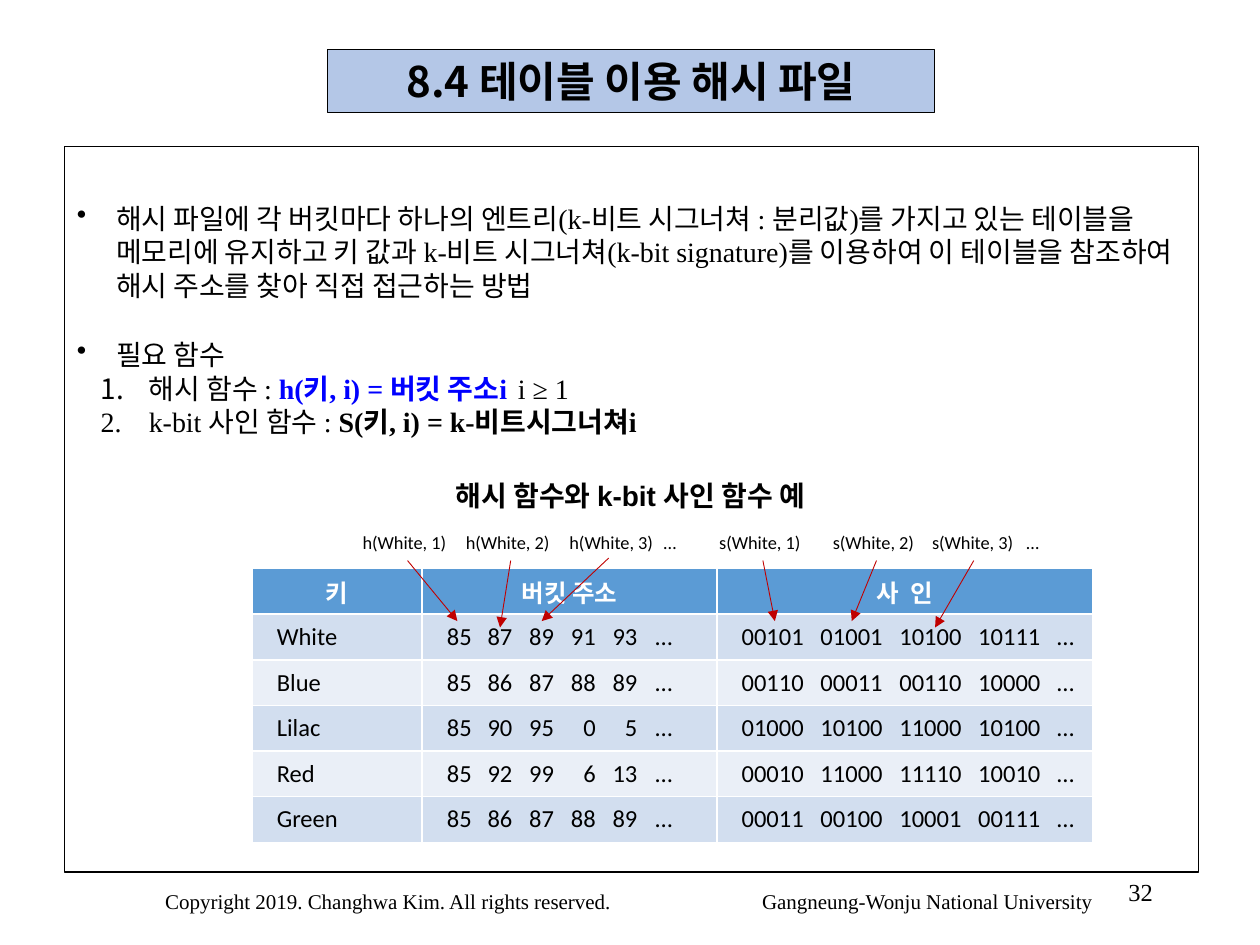
"""Build the slide on hash files that use a signature table."""
from lxml import etree
from pptx import Presentation
from pptx.dml.color import RGBColor
from pptx.enum.shapes import MSO_CONNECTOR, MSO_SHAPE
from pptx.enum.text import MSO_ANCHOR, PP_ALIGN
from pptx.oxml.ns import qn
from pptx.util import Cm, Pt

BLACK = RGBColor(0x00, 0x00, 0x00)
WHITE = RGBColor(0xFF, 0xFF, 0xFF)
BLUE = RGBColor(0x00, 0x00, 0xFF)
RED = RGBColor(0xC0, 0x00, 0x00)
TITLE_FILL = RGBColor(0xB4, 0xC7, 0xE7)
HEADER_FILL = RGBColor(0x5B, 0x9B, 0xD5)
BAND_FILLS = [RGBColor(0xD2, 0xDE, 0xEF), RGBColor(0xEA, 0xEF, 0xF7)]
LEFT, CENTER, RIGHT = PP_ALIGN.LEFT, PP_ALIGN.CENTER, PP_ALIGN.RIGHT
TOP, MIDDLE = MSO_ANCHOR.TOP, MSO_ANCHOR.MIDDLE
RECTANGLE, STRAIGHT = MSO_SHAPE.RECTANGLE, MSO_CONNECTOR.STRAIGHT


def style(para, size, name, color=BLACK, bold=False, align=LEFT):
    para.alignment = align
    para.font.size = Pt(size)
    para.font.name = name
    para.font.color.rgb = color
    para.font.bold = bold


def add_tabs(para, stops):
    properties = para._p.get_or_add_pPr()
    tab_list = etree.Element(qn("a:tabLst"))
    for position, side in stops:
        etree.SubElement(tab_list, qn("a:tab"), pos=str(Cm(position)), algn=side)
    properties.find(qn("a:defRPr")).addprevious(tab_list)


deck = Presentation()
deck.slide_width, deck.slide_height = Cm(25.4), Cm(19.05)
page = deck.slides.add_slide(deck.slide_layouts[6])
shapes = page.shapes

body = shapes.add_shape(RECTANGLE, Cm(1.3), Cm(2.95), Cm(22.86), Cm(14.63))
body.fill.background()
title = shapes.add_shape(RECTANGLE, Cm(6.6), Cm(1), Cm(12.24), Cm(1.27))
title.fill.solid()
title.fill.fore_color.rgb = TITLE_FILL
for box in (body, title):
    box.shadow.inherit = False
    box.line.color.rgb = BLACK
    box.line.width = Pt(0.75)

title.text_frame.text = "8.4 테이블 이용 해시 파일"
title.text_frame.word_wrap = False
title.text_frame.vertical_anchor = MIDDLE
style(title.text_frame.paragraphs[0], 24, "Noto Sans CJK KR", bold=True, align=CENTER)

# indent, hanging, space before, marker tag, marker settings, spans
BULLET = ("a:buChar", {"char": "•"})
NUMBER = ("a:buAutoNum", {"type": "arabicPeriod"})
body_paras = [
    (0.79, 0.79, 0, BULLET, [
        ("해시 파일에 각 버킷마다 하나의 엔트리(k-비트 시그너쳐 : 분리값)를 가지고 있는 "
         "테이블을 메모리에 유지하고 키 값과 k-비트 시그너쳐(k-bit signature)를 이용하여 "
         "이 테이블을 참조하여 해시 주소를 찾아 직접 접근하는 방법", BLACK, False)]),
    (0.79, 0.79, 20, BULLET, [("필요 함수", BLACK, False)]),
    (1.45, 0.97, 0, NUMBER, [
        ("해시 함수 : ", BLACK, False),
        ("h(키, i) = 버킷 주소i\t", BLUE, True),
        ("i ≥ 1", BLACK, False)]),
    (1.45, 0.97, 0, NUMBER, [
        ("k-bit 사인 함수 : ", BLACK, False),
        ("S(키, i) = k-비트시그너쳐i", BLACK, True)]),
]
frame = body.text_frame
frame.word_wrap = True
frame.vertical_anchor = TOP
frame.margin_top = Cm(1.1)
for index, (indent, hanging, before, (marker, settings), spans) in enumerate(body_paras):
    para = frame.add_paragraph() if index else frame.paragraphs[0]
    style(para, 16, "Times New Roman")
    para.line_spacing = Pt(19.3)
    para.space_before = Pt(before)
    properties = para._p.get_or_add_pPr()
    properties.set("marL", str(Cm(indent)))
    properties.set("indent", str(-Cm(hanging)))
    properties.find(qn("a:defRPr")).addprevious(etree.Element(qn(marker), settings))
    for text, color, bold in spans:
        span = para.add_run()
        span.text = text
        span.font.color.rgb = color
        span.font.bold = bold

for text, left, top, width, height, size, name, bold, align in [
    ("32", 18.21, 17.35, 5.28, 1.27, 14, "Times New Roman", False, RIGHT),
    ("해시 함수와 k-bit 사인 함수 예", 8.48, 9.65, 8.46, 0.69, 16, "Arial", True, CENTER),
]:
    box = shapes.add_textbox(Cm(left), Cm(top), Cm(width), Cm(height))
    box.text_frame.text = text
    box.text_frame.word_wrap = True
    box.text_frame.vertical_anchor = MIDDLE
    box.text_frame.margin_top = box.text_frame.margin_bottom = 0
    style(box.text_frame.paragraphs[0], size, name, bold=bold, align=align)

rows = [
    ("키", "버킷 주소", "사  인"),
    ("White", "85 87 89 91 93 …", "00101 01001 10100 10111 …"),
    ("Blue", "85 86 87 88 89 …", "00110 00011 00110 10000 …"),
    ("Lilac", "85 90 95 0 5 …", "01000 10100 11000 10100 …"),
    ("Red", "85 92 99 6 13 …", "00010 11000 11110 10010 …"),
    ("Green", "85 86 87 88 89 …", "00011 00100 10001 00111 …"),
]
column_widths = [3.43, 5.94, 7.57]
address_stops = [(0.48 + 0.84 * step, "r") for step in range(1, 5)] + [(4.2, "l")]
signature_stops = [(1.59 * step, "l") for step in range(1, 5)]
column_stops = [[], address_stops, signature_stops]
table = shapes.add_table(len(rows), 3, Cm(5.08), Cm(11.46),
                         Cm(sum(column_widths)), Cm(0.92 * len(rows))).table
for column, width in zip(table.columns, column_widths):
    column.width = Cm(width)
for row_index, texts in enumerate(rows):
    header = row_index == 0
    for column_index, text in enumerate(texts):
        cell = table.cell(row_index, column_index)
        cell.margin_top = cell.margin_bottom = cell.margin_right = 0
        cell.margin_left = 0 if header else Cm(0.5)
        cell.vertical_anchor = MIDDLE
        cell.fill.solid()
        cell.fill.fore_color.rgb = HEADER_FILL if header else BAND_FILLS[(row_index - 1) % 2]
        cell.text = text if header else text.replace(" ", "\t")
        para = cell.text_frame.paragraphs[0]
        style(para, 14, "Calibri", WHITE if header else BLACK, header,
              CENTER if header else LEFT)
        if not header and column_stops[column_index]:
            add_tabs(para, column_stops[column_index])

calls = [
    ("h(White, 1)", 7.06, 2.31, (8.2, 11.25), (9.22, 12.52)),
    ("h(White, 2)", 9.14, 2.31, (10.34, 11.25), (10.08, 12.65)),
    ("h(White, 3)\t…", 11.23, 2.92, (12.27, 11.25), (10.92, 12.52)),
    ("s(White, 1)", 14.25, 2.26, (15.39, 11.3), (15.62, 12.52)),
    ("s(White, 2)", 16.54, 2.26, (17.58, 11.3), (17.17, 12.52)),
    ("s(White, 3)\t…", 18.54, 2.79, (19.63, 11.3), (18.85, 12.65)),
]
for text, left, width, start, end in calls:
    label = shapes.add_textbox(Cm(left), Cm(10.59), Cm(width), Cm(0.71))
    label.text_frame.text = text
    label.text_frame.word_wrap = True
    label.text_frame.margin_right = 0
    para = label.text_frame.paragraphs[0]
    style(para, 10.5, "Calibri")
    add_tabs(para, [(1.9, "l")])
    arrow = shapes.add_connector(STRAIGHT, *map(Cm, start + end))
    if abs(left + width / 2 - start[0]) < 0.1:
        arrow.begin_connect(label, 2)
    arrow.line.color.rgb = RED
    arrow.line.width = Pt(0.5)
    etree.SubElement(arrow.line._get_or_add_ln(), qn("a:tailEnd"), type="triangle")
    etree.SubElement(arrow._element.spPr, qn("a:effectLst"))

footer = shapes.add_textbox(Cm(2.62), Cm(17.65), Cm(20.17), Cm(1.02))
footer.text_frame.text = ("Copyright 2019. Changhwa Kim. All rights reserved."
                          "\tGangneung-Wonju National University")
footer.text_frame.word_wrap = True
footer.text_frame.vertical_anchor = MIDDLE
footer.text_frame.margin_left = Cm(0.71)
para = footer.text_frame.paragraphs[0]
style(para, 12, "Times New Roman")
add_tabs(para, [(18.7, "r")])

deck.save("out.pptx")
